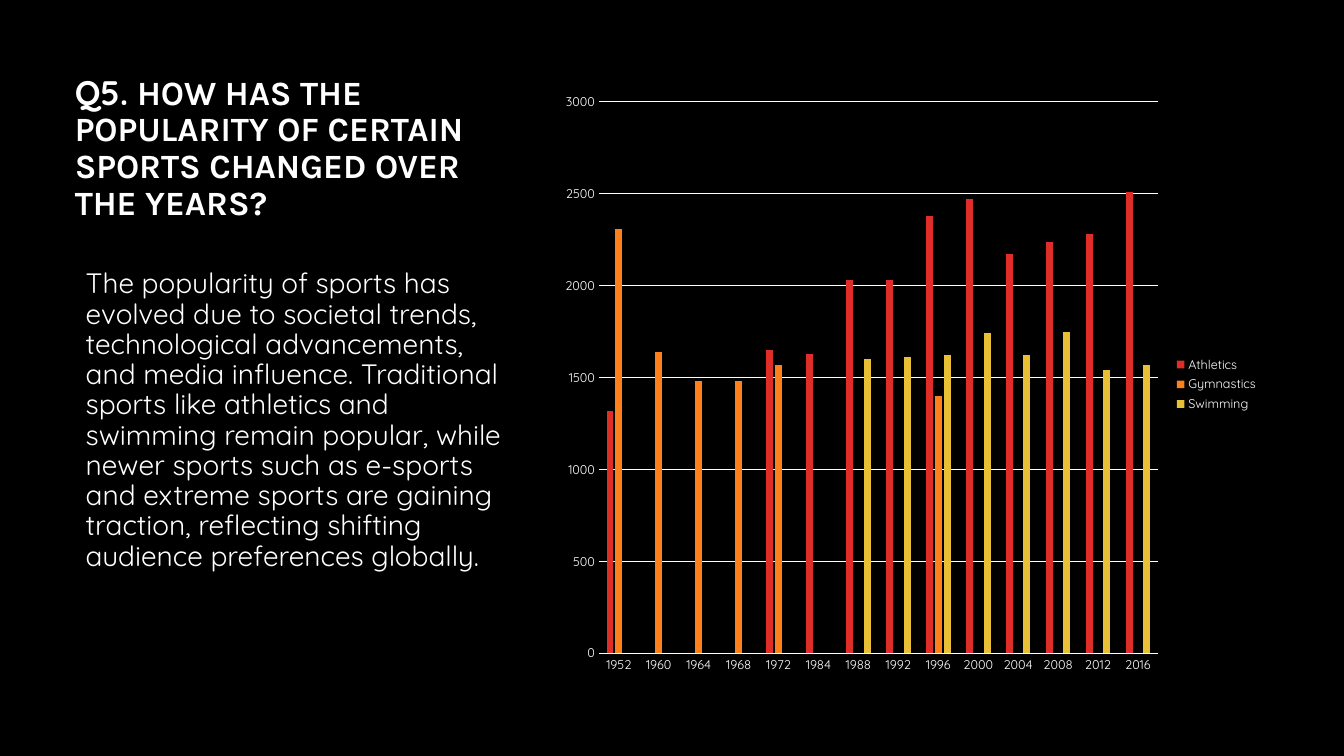
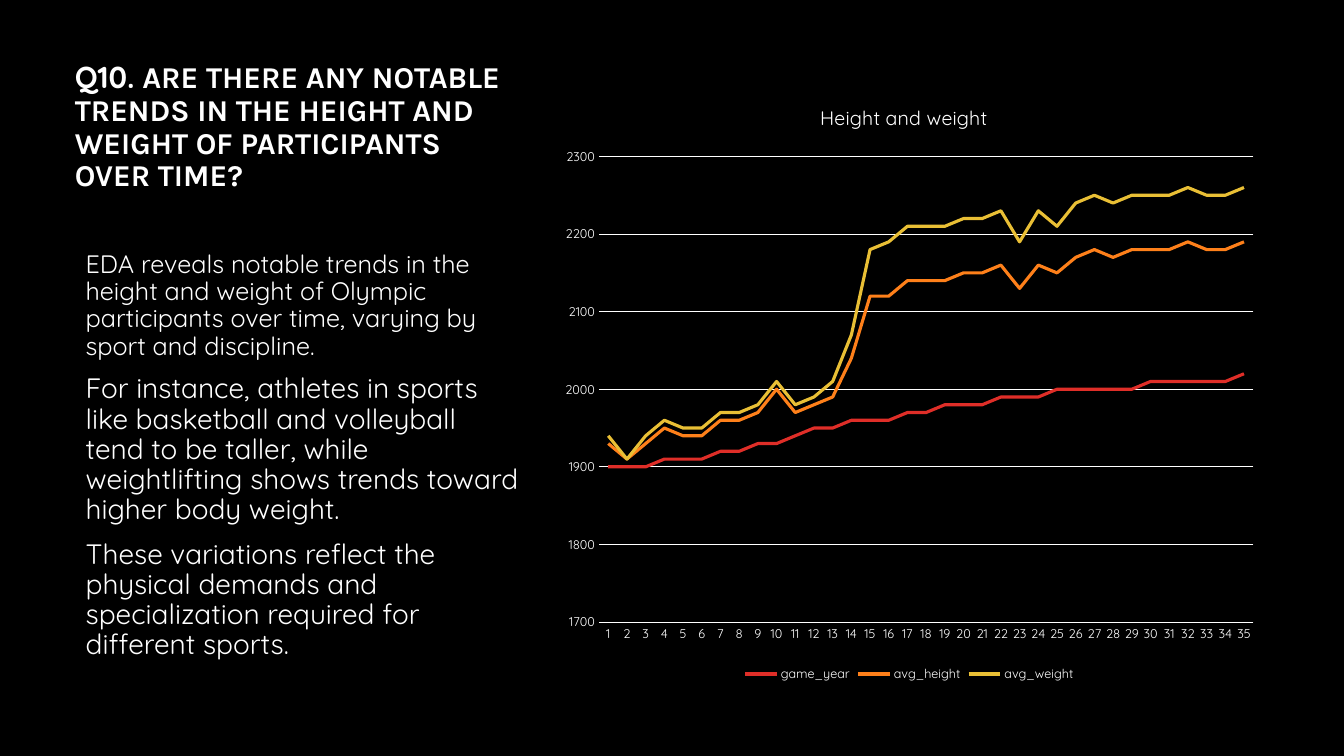
from lxml import etree
from pptx import Presentation
from pptx.chart.data import CategoryChartData
from pptx.dml.color import RGBColor
from pptx.enum import chart as charts, text
from pptx.oxml import ns
from pptx.util import Pt

BLACK = RGBColor(0x00, 0x00, 0x00)
WHITE = RGBColor(0xFF, 0xFF, 0xFF)
RED = RGBColor(0xDF, 0x2E, 0x28)
ORANGE = RGBColor(0xFE, 0x80, 0x1A)
YELLOW = RGBColor(0xE9, 0xBF, 0x35)
SERIES_COLORS = (RED, ORANGE, YELLOW)
HEAD_FONT = "Karla"
BODY_FONT = "Quicksand"
CHART_WIDTH, CHART_HEIGHT = 513, 431

QUESTIONS = [
    {
        "number": "Q5.",
        "question": " HOW HAS THE POPULARITY OF CERTAIN SPORTS CHANGED OVER THE YEARS?",
        "title_size": 24.3,
        "title_top": 71.3,
        "body_top": 189,
        "answer": [
            (20, "The popularity of sports has evolved due to societal trends, "
                 "technological advancements, and media influence. Traditional sports "
                 "like athletics and swimming remain popular, while newer sports such as "
                 "e-sports and extreme sports are gaining traction, reflecting shifting "
                 "audience preferences globally."),
        ],
        "chart_type": charts.XL_CHART_TYPE.COLUMN_CLUSTERED,
        "chart_title": None,
        "legend": charts.XL_LEGEND_POSITION.RIGHT,
        "scale": (0, 3000, 500),
        "plot_area": {"x": 34.8, "y": 13.8, "w": 399.3, "h": 393.8},
        "categories": [1952, 1960, 1964, 1968, 1972, 1984, 1988,
                       1992, 1996, 2000, 2004, 2008, 2012, 2016],
        "series": {
            "Athletics": [1320, None, None, None, 1650, 1630, 2030, 2030,
                          2380, 2470, 2170, 2240, 2280, 2510],
            "Gymnastics": [2310, 1640, 1480, 1480, 1570, None, None, None,
                           1400, None, None, None, None, None],
            "Swimming": [None, None, None, None, None, None, 1600, 1610,
                         1620, 1740, 1620, 1750, 1540, 1570],
        },
    },
    {
        "number": "Q10.",
        "question": " ARE THERE ANY NOTABLE TRENDS IN THE HEIGHT AND WEIGHT "
                    "OF PARTICIPANTS OVER TIME?",
        "title_size": 21.6,
        "title_top": 50.4,
        "body_top": 176.2,
        "answer": [
            (18, "EDA reveals notable trends in the height and weight of Olympic "
                 "participants over time, varying by sport and discipline."),
            (20, "For instance, athletes in sports like basketball and volleyball tend "
                 "to be taller, while weightlifting shows trends toward higher body weight."),
            (20, "These variations reflect the physical demands and specialization "
                 "required for different sports."),
        ],
        "chart_type": charts.XL_CHART_TYPE.LINE_STACKED,
        "chart_title": "Height and weight",
        "legend": charts.XL_LEGEND_POSITION.BOTTOM,
        "scale": (1700, 2300, 100),
        "plot_area": {"x": 34.8, "y": 52.8, "w": 467.5, "h": 332.6},
        "categories": range(1, 36),
        "series": {
            "game_year": [1900, 1900, 1900, 1910, 1910, 1910, 1920, 1920, 1930,
                          1930, 1940, 1950, 1950, 1960, 1960, 1960, 1970, 1970,
                          1980, 1980, 1980, 1990, 1990, 1990, 2000, 2000, 2000,
                          2000, 2000, 2010, 2010, 2010, 2010, 2010, 2020],
            "avg_height": [30, 10, 30, 40, 30, 30, 40, 40, 40, 70, 30, 30,
                           40, 80, 160, 160, 170, 170, 160, 170, 170, 170, 140, 170,
                           150, 170, 180, 170, 180, 170, 170, 180, 170, 170, 170],
            "avg_weight": [10, 0, 10, 10, 10, 10, 10, 10, 10, 10, 10, 10,
                           20, 30, 60, 70, 70, 70, 70, 70, 70, 70, 60, 70,
                           60, 70, 70, 70, 70, 70, 70, 70, 70, 70, 70],
        },
    },
]


def style_font(font, size, name=BODY_FONT, bold=False):
    font.size = Pt(size)
    font.name = name
    font.bold = bold
    font.color.rgb = WHITE


def place_in_chart(element, **lengths):
    """Fix a chart part's position and size, given in points from the chart's corner."""
    for old_layout in element.findall(ns.qn("c:layout")):
        element.remove(old_layout)
    layout = etree.Element(ns.qn("c:layout"))
    manual = etree.SubElement(layout, ns.qn("c:manualLayout"))
    if "w" in lengths:
        etree.SubElement(manual, ns.qn("c:layoutTarget"), val="inner")
    for axis in "xy":
        etree.SubElement(manual, ns.qn(f"c:{axis}Mode"), val="edge")
    for key, length in lengths.items():
        whole = CHART_WIDTH if key in "xw" else CHART_HEIGHT
        etree.SubElement(manual, ns.qn(f"c:{key}"), val=str(length / whole))
    title_text = element.find(ns.qn("c:tx"))
    if title_text is None:
        element.insert(0, layout)
    else:
        title_text.addnext(layout)


presentation = Presentation()
presentation.slide_width = Pt(960)
presentation.slide_height = Pt(540)
background = presentation.slide_master.background.fill
background.solid()
background.fore_color.rgb = BLACK

for question in QUESTIONS:
    slide = presentation.slides.add_slide(presentation.slide_layouts[1])

    title = slide.shapes.title
    title.left, title.top = Pt(46.2), Pt(question["title_top"])
    title.width, title.height = Pt(324), Pt(126)
    frame = title.text_frame
    frame.auto_size = text.MSO_AUTO_SIZE.NONE
    frame.vertical_anchor = text.MSO_ANCHOR.BOTTOM
    frame.margin_bottom = Pt(38.2)
    paragraph = frame.paragraphs[0]
    paragraph.alignment = text.PP_ALIGN.LEFT
    paragraph.line_spacing = 0.9
    for content, font_name in ((question["number"], BODY_FONT),
                               (question["question"], HEAD_FONT)):
        run = paragraph.add_run()
        run.text = content
        style_font(run.font, question["title_size"], font_name, bold=True)

    body = slide.placeholders[1]
    body.left, body.top = Pt(54), Pt(question["body_top"])
    body.width, body.height = Pt(324), Pt(490 - question["body_top"])
    frame = body.text_frame
    frame.auto_size = text.MSO_AUTO_SIZE.NONE
    for index, (size, content) in enumerate(question["answer"]):
        paragraph = frame.add_paragraph() if index else frame.paragraphs[0]
        properties = paragraph._p.get_or_add_pPr()
        properties.set("marL", "0")
        properties.set("indent", "0")
        etree.SubElement(properties, ns.qn("a:buNone"))
        paragraph.line_spacing = 0.9
        paragraph.space_before = Pt(10 if index else 0)
        run = paragraph.add_run()
        run.text = content
        style_font(run.font, size)

    data = CategoryChartData()
    data.categories = [str(category) for category in question["categories"]]
    for name, values in question["series"].items():
        data.add_series(name, values)
    chart = slide.shapes.add_chart(question["chart_type"], Pt(393), Pt(59),
                                   Pt(CHART_WIDTH), Pt(CHART_HEIGHT), data).chart
    style_font(chart.font, 10)
    place_in_chart(chart._chartSpace.chart.plotArea, **question["plot_area"])

    chart.has_title = question["chart_title"] is not None
    if chart.has_title:
        run = chart.chart_title.text_frame.paragraphs[0].add_run()
        run.text = question["chart_title"]
        style_font(run.font, 14)
        place_in_chart(chart.chart_title._element, x=190.3, y=12.2)

    chart.has_legend = True
    chart.legend.position = question["legend"]
    chart.legend.include_in_layout = False
    style_font(chart.legend.font, 9)

    value_axis = chart.value_axis
    value_axis.minimum_scale, value_axis.maximum_scale, value_axis.major_unit = question["scale"]
    value_axis.has_major_gridlines = True
    value_axis.format.line.fill.background()
    for axis in (chart.category_axis, value_axis):
        axis.major_tick_mark = charts.XL_TICK_MARK.NONE
        style_font(axis.tick_labels.font, 9)
    for line in (chart.category_axis.format.line, value_axis.major_gridlines.format.line):
        line.color.rgb = WHITE
        line.width = Pt(0.75)

    plot = chart.plots[0]
    plot.vary_by_categories = False
    is_column = question["chart_type"] == charts.XL_CHART_TYPE.COLUMN_CLUSTERED
    if is_column:
        plot.gap_width = 219
        plot.overlap = -27
    for series, color in zip(plot.series, SERIES_COLORS):
        if is_column:
            series.format.fill.solid()
            series.format.fill.fore_color.rgb = color
        else:
            series.smooth = False
            series.marker.style = charts.XL_MARKER_STYLE.NONE
            series.format.line.color.rgb = color
            series.format.line.width = Pt(2.25)

presentation.save("out.pptx")
